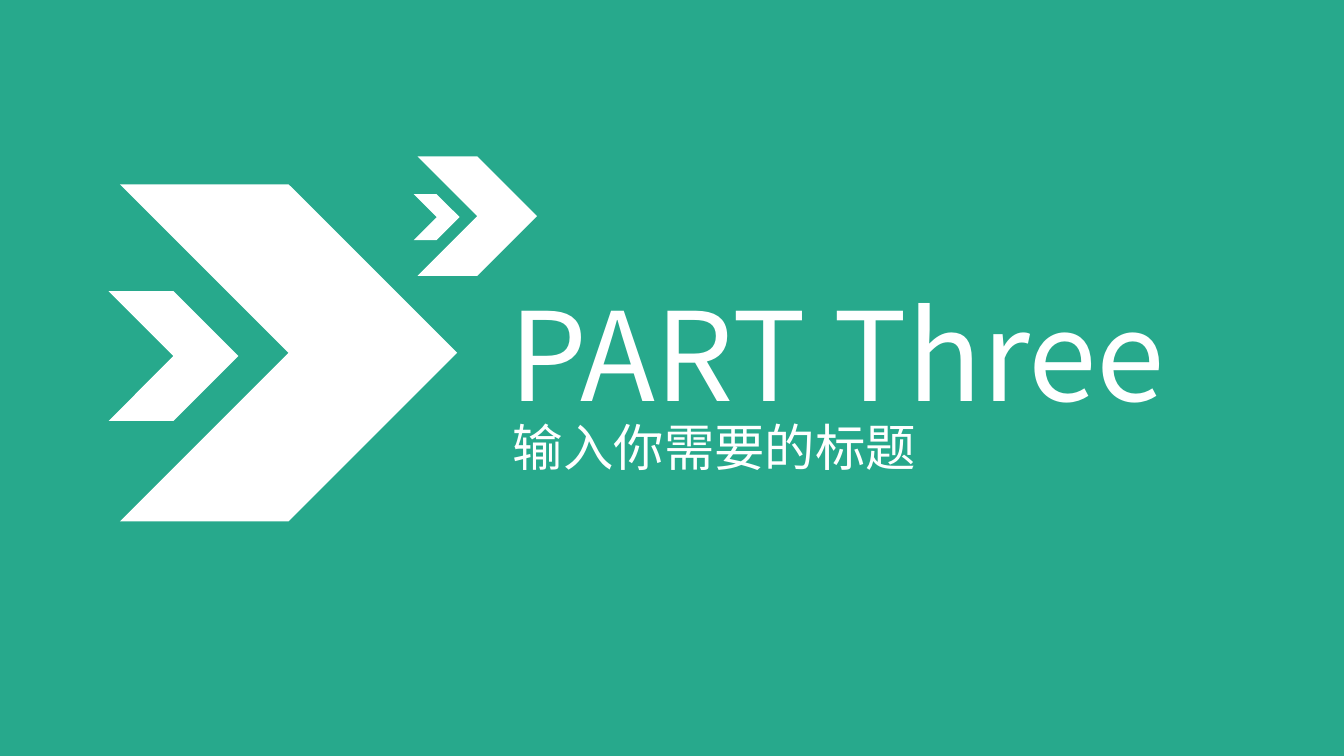
from lxml.etree import SubElement
from pptx import Presentation
from pptx.dml.color import RGBColor
from pptx.enum.shapes import MSO_SHAPE as Preset
from pptx.enum.text import MSO_AUTO_SIZE as AutoSize
from pptx.oxml.ns import qn
from pptx.util import Pt

GREEN, WHITE = "27A98C", "FFFFFF"
FONT = "Noto Sans CJK JP"


def paint(fill, color):
    fill.solid()
    fill.fore_color.rgb = RGBColor.from_string(color)


def add_chevron(slide, left, top, side):
    chevron = slide.shapes.add_shape(
        Preset.CHEVRON, Pt(left), Pt(top), Pt(side), Pt(side))
    chevron.shadow.inherit = False
    paint(chevron.fill, WHITE)
    chevron.line.fill.background()


def add_heading(slide, wording, left, top, width, height, size):
    heading = slide.shapes.add_textbox(Pt(left), Pt(top), Pt(width), Pt(height))
    frame = heading.text_frame
    frame.word_wrap = True
    frame.auto_size = AutoSize.SHAPE_TO_FIT_TEXT
    paragraph = frame.paragraphs[0]
    paragraph.text = wording
    font = paragraph.font
    font.size = Pt(size)
    paint(font.fill, WHITE)
    font.name = FONT
    # Chinese characters take the East Asian typeface
    SubElement(font._element, qn("a:ea")).set("typeface", FONT)


def main():
    deck = Presentation()
    deck.slide_width, deck.slide_height = Pt(960), Pt(540)
    slide = deck.slides.add_slide(deck.slide_layouts[6])
    paint(slide.background.fill, GREEN)

    # Section title and subtitle
    add_heading(slide, "PART Three", 357.1, 195.1, 555.1, 113.8, 88)
    add_heading(slide, "输入你需要的标题", 359.3, 293.8, 453.6, 51.1, 36)

    # Large and small chevron pairs
    for left, top, side in [
        (77.6, 208, 92.6),
        (85.7, 131.6, 240.8),
        (295.5, 138.7, 32.8),
        (298.4, 111.8, 85.2),
    ]:
        add_chevron(slide, left, top, side)

    deck.save("out.pptx")


if __name__ == "__main__":
    main()
